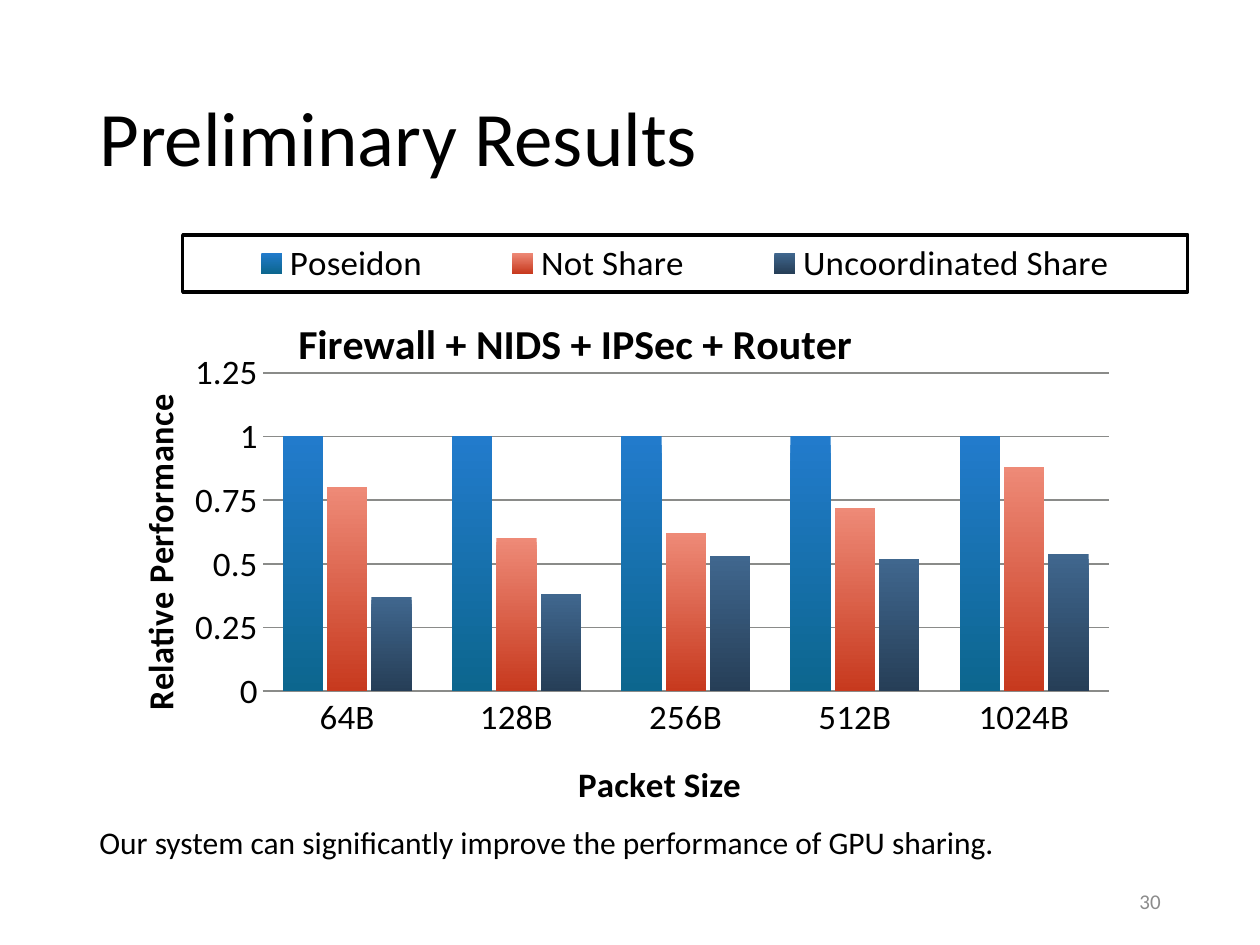
"""Build the Preliminary Results slide with its clustered column chart."""
from lxml import etree
from pptx import Presentation
from pptx.chart.data import CategoryChartData
from pptx.dml.color import RGBColor
from pptx.enum.chart import XL_CHART_TYPE, XL_LEGEND_POSITION, XL_TICK_MARK
from pptx.enum.text import MSO_ANCHOR, PP_ALIGN
from pptx.oxml import parse_xml
from pptx.oxml.ns import nsdecls, qn
from pptx.util import Pt

COLUMN = XL_CHART_TYPE.COLUMN_CLUSTERED
TOP = XL_LEGEND_POSITION.TOP
NONE = XL_TICK_MARK.NONE
MIDDLE = MSO_ANCHOR.MIDDLE
LEFT, RIGHT = PP_ALIGN.LEFT, PP_ALIGN.RIGHT
BLACK = RGBColor(0x00, 0x00, 0x00)
GRAY = RGBColor(0x8C, 0x8C, 0x8C)
GRID = RGBColor(0x8A, 0x8B, 0x89)
BLUE = RGBColor(0x22, 0x7B, 0xCC), RGBColor(0x0C, 0x66, 0x8E)
RED = RGBColor(0xEE, 0x8A, 0x77), RGBColor(0xC7, 0x39, 0x1E)
NAVY = RGBColor(0x40, 0x67, 0x8E), RGBColor(0x26, 0x3E, 0x57)
FONT = "Calibri"


def write(frame, text, size=20, color=BLACK, bold=False, align=None, spacing=None):
    para = frame.paragraphs[0]
    if align is not None:
        para.alignment = align
    if spacing is not None:
        para.line_spacing = spacing
    run = para.add_run()
    run.text = text
    run.font.name = FONT
    run.font.size = Pt(size)
    run.font.bold = bold
    run.font.color.rgb = color


def place(node, index, target=None, **spots):
    for old in node.findall(qn("c:layout")):
        node.remove(old)
    layout = etree.Element(qn("c:layout"))
    manual = etree.SubElement(layout, qn("c:manualLayout"))
    if target:
        etree.SubElement(manual, qn("c:layoutTarget")).set("val", target)
    for key in ("x", "y"):
        etree.SubElement(manual, qn(f"c:{key}Mode")).set("val", "edge")
    for key, value in spots.items():
        etree.SubElement(manual, qn(f"c:{key}")).set("val", str(value))
    node.insert(index, layout)


deck = Presentation()
deck.slide_width, deck.slide_height = Pt(720), Pt(540)
slide = deck.slides.add_slide(deck.slide_layouts[6])

texts = [
    ("Preliminary Results", (49.7, 28.8, 620.6, 104.4), True, MIDDLE,
     dict(size=44, spacing=0.9)),
    ("30", (508.3, 500.4, 162, 28.8), True, MIDDLE,
     dict(size=12, color=GRAY, align=RIGHT)),
    ("Our system can significantly improve the performance of GPU sharing.",
     (49.7, 466.6, 535.7, 28.8), False, None, dict(size=18, align=LEFT)),
]
for text, box, wrap, anchor, style in texts:
    frame = slide.shapes.add_textbox(*map(Pt, box)).text_frame
    frame.word_wrap = wrap
    if anchor is not None:
        frame.vertical_anchor = anchor
    write(frame, text, **style)

rows = [
    ("Poseidon", (1, 1, 1, 1, 1), BLUE),
    ("Not Share", (0.8, 0.6, 0.62, 0.72, 0.88), RED),
    ("Uncoordinated Share", (0.37, 0.38, 0.53, 0.52, 0.54), NAVY),
]
data = CategoryChartData()
data.categories = ["64B", "128B", "256B", "512B", "1024B"]
for name, values, shades in rows:
    data.add_series(name, values)
box = map(Pt, (61.2, 133.2, 618.5, 333.4))
chart = slide.shapes.add_chart(COLUMN, *box, data).chart
chart.font.name = FONT
chart.font.size = Pt(20)
chart.font.color.rgb = BLACK

plot = chart.plots[0]
plot.vary_by_categories = False
plot.gap_width = 100
plot.overlap = -10
for series, (name, values, shades) in zip(plot.series, rows):
    fill = series.format.fill
    fill.gradient()
    fill.gradient_angle = 270
    for stop, shade in zip(fill.gradient_stops, shades):
        stop.color.rgb = shade

base, scale = chart.category_axis, chart.value_axis
for axis in (base, scale):
    axis.major_tick_mark = axis.minor_tick_mark = NONE
scale.minimum_scale = 0
scale.maximum_scale = 1.25
scale.major_unit = 0.25
scale.format.line.fill.background()
for line in (base.format.line, scale.major_gridlines.format.line):
    line.color.rgb = GRID
    line.width = Pt(1)

chart.has_title = True
titles = [
    (chart.chart_title, "Firewall + NIDS + IPSec + Router", 24, 0.17, 0.13),
    (base.axis_title, "Packet Size", 20, 0.43, 0.91),
    (scale.axis_title, "Relative Performance", 20, 0.02, 0.28),
]
for title, text, size, x, y in titles:
    write(title.text_frame, text, size=size, bold=True)
    place(title._element, 1, x=x, y=y)
chart.chart_title._element.find(qn("c:overlay")).set("val", "1")
body = next(scale.axis_title._element.iter(qn("a:bodyPr")))
body.set("rot", "-5400000")
body.set("vert", "horz")

chart.has_legend = True
legend = chart.legend
legend.position = TOP
legend.include_in_layout = True
place(legend._element, 1, x=0.07, y=0, w=0.93, h=0.1)
border = parse_xml(
    f'<c:spPr {nsdecls("c", "a")}><a:ln w="{Pt(2)}"><a:solidFill>'
    f'<a:srgbClr val="{BLACK}"/></a:solidFill></a:ln></c:spPr>')
legend._element.find(qn("c:overlay")).addnext(border)
place(chart._chartSpace.chart.plotArea, 0, "inner", x=0.144, y=0.242, w=0.783, h=0.559)

deck.save("out.pptx")
